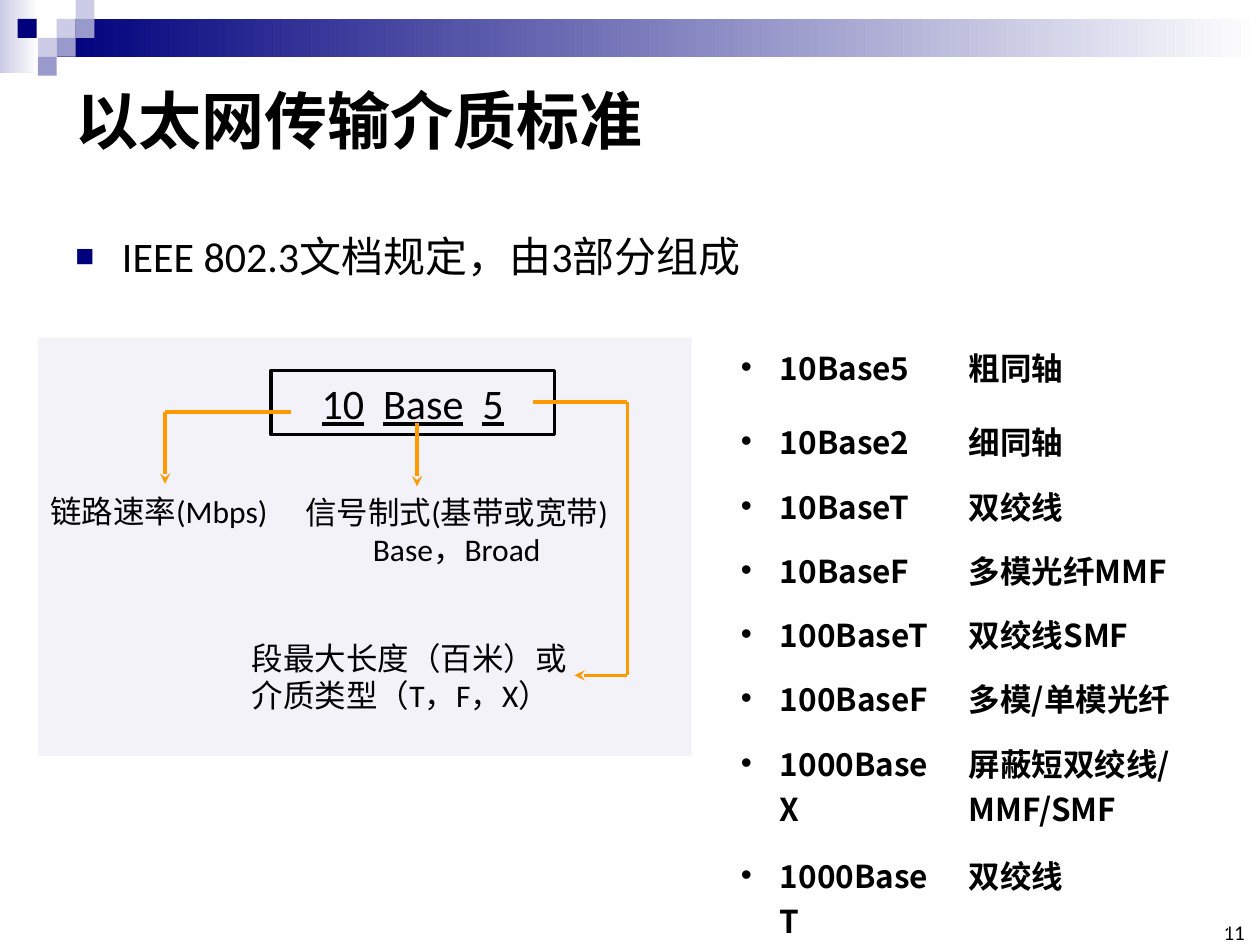
from lxml import etree
from pptx import Presentation
from pptx.dml.color import RGBColor
from pptx.enum.shapes import MSO_CONNECTOR, MSO_SHAPE
from pptx.enum.text import MSO_ANCHOR, PP_ALIGN
from pptx.oxml.ns import qn
from pptx.util import Inches, Pt

RECTANGLE = MSO_SHAPE.RECTANGLE
STRAIGHT = MSO_CONNECTOR.STRAIGHT
TOP, MIDDLE, BOTTOM = MSO_ANCHOR.TOP, MSO_ANCHOR.MIDDLE, MSO_ANCHOR.BOTTOM
LEFT, CENTER, RIGHT = PP_ALIGN.LEFT, PP_ALIGN.CENTER, PP_ALIGN.RIGHT

LATIN, CJK = "Calibri", "Noto Sans CJK SC"
BLACK, WHITE, NAVY = "000000", "FFFFFF", "00007D"
LILAC, VIOLET, PANEL, ORANGE = "CCCCE6", "9999CC", "F2F2F8", "FF9900"

TITLE = "以太网传输介质标准"
BODY = "IEEE 802.3文档规定，由3部分组成"
PAGE_NUMBER = "11"
NAME_PARTS = ["10", "Base", "5"]
LABELS = [
    ((0.3, 3.86, 1.99, 0.4), ["链路速率(Mbps)"], LEFT, False),
    ((2.31, 3.86, 2.63, 0.71), ["信号制式(基带或宽带)", "Base，Broad"], CENTER, True),
    ((1.9, 5.02, 2.75, 0.7), ["段最大长度（百米）或", "介质类型（T，F，X）"], LEFT, True),
]
MEDIA = [
    ("10Base5", "粗同轴"),
    ("10Base2", "细同轴"),
    ("10BaseT", "双绞线"),
    ("10BaseF", "多模光纤MMF"),
    ("100BaseT", "双绞线SMF"),
    ("100BaseF", "多模/单模光纤"),
    ("1000BaseX", "屏蔽短双绞线/MMF/SMF"),
    ("1000BaseT", "双绞线"),
]
COLUMN_WIDTHS = [1.81, 2.16]
ROW_HEIGHTS = [0.59] + [0.51] * 5 + [0.89, 0.51]

GRADIENT_BARS = [((0, 0, 0.31, 0.58), LILAC), ((0.45, 0.15, 9.55, 0.3), NAVY)]
TILE = 0.15
TILES = [
    (0.45, 0.15, LILAC), (0.6, 0, LILAC), (0.6, 0.15, VIOLET), (0.3, 0.3, LILAC),
    (0.14, 0.15, NAVY), (0.45, 0.3, VIOLET), (0.3, 0.45, VIOLET),
]
POINTERS = [
    [(2.31, 3.27), (1.31, 3.27), (1.31, 3.84)],
    [(3.31, 3.36), (3.31, 3.86)],
    [(4.23, 3.19), (4.98, 3.19), (4.98, 5.36), (4.56, 5.36)],
]


def color(value):
    return RGBColor.from_string(value)


def add_rectangle(slide, box, fill=None):
    shape = slide.shapes.add_shape(RECTANGLE, *map(Inches, box))
    shape.shadow.inherit = False
    shape.line.fill.background()
    if fill:
        shape.fill.solid()
        shape.fill.fore_color.rgb = color(fill)
    else:
        shape.fill.background()
    return shape


def add_run(paragraph, text, size, font=LATIN, bold=False):
    run = paragraph.add_run()
    run.text = text
    run.font.size = Pt(size)
    run.font.bold = bold
    run.font.name = font
    run.font.color.rgb = color(BLACK)
    east_asian = etree.SubElement(run.font._element, qn("a:ea"))
    east_asian.set("typeface", font)
    return run


def add_bullet(paragraph, character, indent, tint, percent=100):
    properties = paragraph._p.get_or_add_pPr()
    properties.set("marL", str(Inches(indent)))
    properties.set("indent", str(-Inches(indent)))
    bullet_color = etree.SubElement(properties, qn("a:buClr"))
    etree.SubElement(bullet_color, qn("a:srgbClr")).set("val", tint)
    etree.SubElement(properties, qn("a:buSzPct")).set("val", str(percent * 1000))
    etree.SubElement(properties, qn("a:buFont")).set("typeface", "Arial")
    etree.SubElement(properties, qn("a:buChar")).set("char", character)


def add_text(slide, box, lines, size, align=LEFT, anchor=TOP, wrap=True, font=LATIN, bold=False):
    text_box = slide.shapes.add_textbox(*map(Inches, box))
    frame = text_box.text_frame
    frame.word_wrap = wrap
    frame.vertical_anchor = anchor
    for index, line in enumerate(lines):
        paragraph = frame.add_paragraph() if index else frame.paragraphs[0]
        paragraph.alignment = align
        add_run(paragraph, line, size, font, bold)
    return frame


def add_line(slide, start, end, arrow):
    line = slide.shapes.add_connector(STRAIGHT, *map(Inches, start + end))
    line.line.color.rgb = color(ORANGE)
    line.line.width = Pt(2)
    if arrow:
        etree.SubElement(line.line._get_or_add_ln(), qn("a:tailEnd")).set("type", "stealth")
    etree.SubElement(line._element.spPr, qn("a:effectLst"))


def add_header(slide):
    for box, tint in GRADIENT_BARS:
        fill = add_rectangle(slide, box, tint).fill
        fill.gradient()
        fill.gradient_angle = 0
        for stop, stop_color in zip(fill.gradient_stops, (tint, WHITE)):
            stop.color.rgb = color(stop_color)
    for left, top, tint in TILES:
        add_rectangle(slide, (left, top, TILE, TILE), tint)


def add_diagram(slide):
    add_rectangle(slide, (0.3, 2.68, 5.19, 3.32), PANEL)
    for box, lines, align, wrap in LABELS:
        add_text(slide, box, lines, 18, align, wrap=wrap)
    name_box = add_rectangle(slide, (2.15, 2.94, 2.25, 0.51))
    name_box.line.color.rgb = color(BLACK)
    name_box.line.width = Pt(2)
    paragraph = name_box.text_frame.paragraphs[0]
    paragraph.alignment = CENTER
    for index, part in enumerate(NAME_PARTS):
        if index:
            gap = add_run(paragraph, " ", 24)
            gap.font._element.set("spc", "540")
        add_run(paragraph, part, 24).font.underline = True
    for points in POINTERS:
        for start, end in zip(points, points[1:]):
            add_line(slide, start, end, end == points[-1])


def add_media_table(slide):
    box = (5.78, 2.68, sum(COLUMN_WIDTHS), sum(ROW_HEIGHTS))
    frame = slide.shapes.add_table(len(MEDIA), len(COLUMN_WIDTHS), *map(Inches, box))
    table = frame.table
    table.first_row = table.horz_banding = False
    for column, width in zip(table.columns, COLUMN_WIDTHS):
        column.width = Inches(width)
    for row, height, texts in zip(table.rows, ROW_HEIGHTS, MEDIA):
        row.height = Inches(height)
        for index, (cell, text) in enumerate(zip(row.cells, texts)):
            cell.fill.background()
            paragraph = cell.text_frame.paragraphs[0]
            if index == 0:
                add_bullet(paragraph, "•", 0.31, BLACK)
            add_run(paragraph, text, 18, CJK, True)


def main():
    presentation = Presentation()
    presentation.slide_width = Inches(10)
    presentation.slide_height = Inches(7.5)
    slide = presentation.slides.add_slide(presentation.slide_layouts[6])
    add_header(slide)
    add_text(slide, (0.5, 0.5, 9, 0.89), [TITLE], 36, anchor=MIDDLE, font=CJK, bold=True)
    body = add_text(slide, (0.5, 1.58, 9, 0.78), [BODY], 24).paragraphs[0]
    body.line_spacing = 1.5
    add_bullet(body, "■", 0.37, NAVY, 75)
    number = add_text(slide, (9.65, 7.33, 0.23, 0.17), [PAGE_NUMBER], 12, RIGHT, BOTTOM)
    number.margin_left = number.margin_right = number.margin_top = number.margin_bottom = 0
    add_diagram(slide)
    add_media_table(slide)
    presentation.save("out.pptx")


if __name__ == "__main__":
    main()
